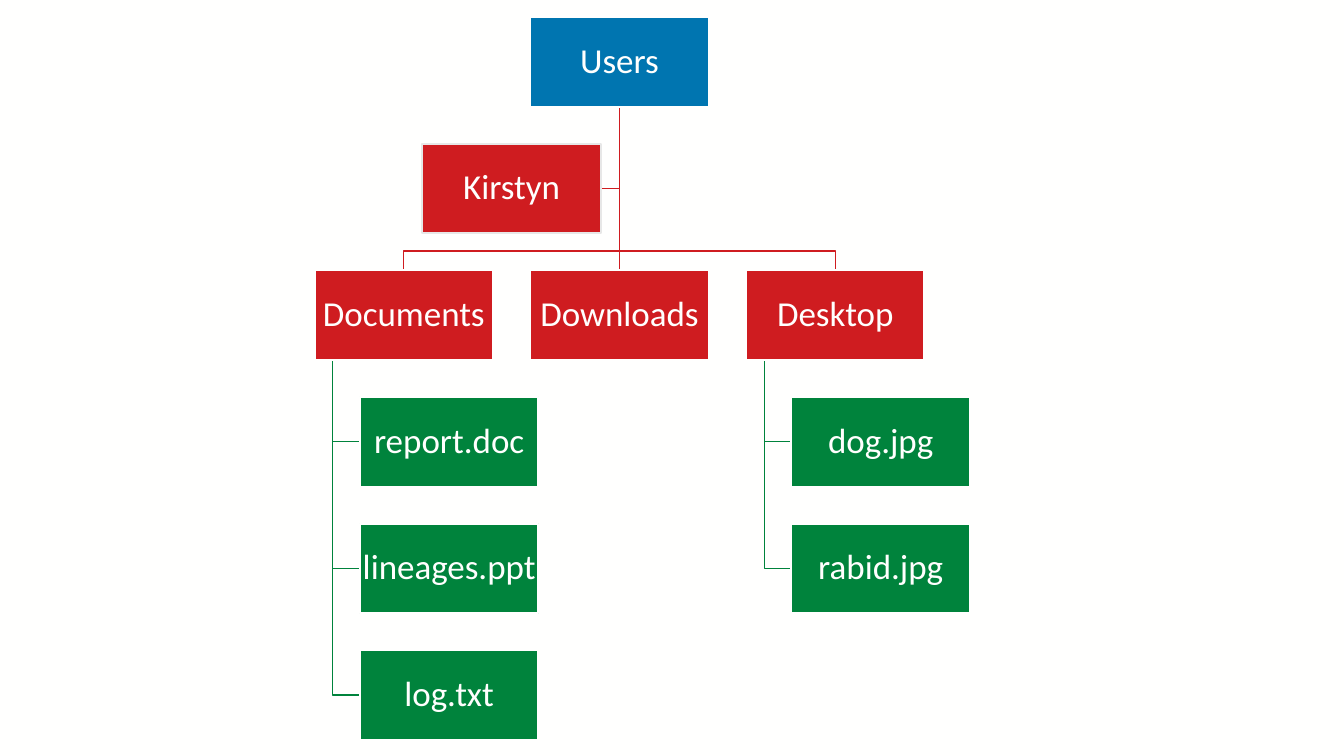
from pptx import Presentation
from pptx.dml.color import RGBColor
from pptx.enum.shapes import MSO_CONNECTOR, MSO_SHAPE
from pptx.enum.text import MSO_ANCHOR, PP_ALIGN
from pptx.oxml.ns import qn
from pptx.util import Inches, Pt
from lxml import etree

RECTANGLE = MSO_SHAPE.RECTANGLE
STRAIGHT = MSO_CONNECTOR.STRAIGHT
MIDDLE = MSO_ANCHOR.MIDDLE
CENTER = PP_ALIGN.CENTER
TOP_SIDE, BOTTOM_SIDE = 0, 2

WHITE = RGBColor(0xFF, 0xFF, 0xFE)
GREY = RGBColor(0xE7, 0xE7, 0xE7)
BLUE = RGBColor(0x00, 0x75, 0xB0)
RED = RGBColor(0xCF, 0x1C, 0x20)
GREEN = RGBColor(0x00, 0x83, 0x3C)

# Grid of the tree
BOX_W, BOX_H = Inches(1.77), Inches(0.89)
ROOT_LEFT, ROOT_TOP = Inches(5.26), Inches(0.17)
COL_PITCH = Inches(2.14)
ROW_PITCH = Inches(6.28) // 5
FILE_INDENT = Inches(0.45)
TRUNK_INDENT = Inches(0.18)
BAR_GAP = Inches(0.19)

FOLDERS = {
    "Documents": ["report.doc", "lineages.ppt", "log.txt"],
    "Downloads": [],
    "Desktop": ["dog.jpg", "rabid.jpg"],
}


def row_top(row):
    return ROOT_TOP + row * ROW_PITCH


def write_text(sp, text, size=25, color=WHITE, font="Calibri"):
    tf = sp.text_frame
    tf.word_wrap = False
    tf.vertical_anchor = MIDDLE
    tf.margin_left = tf.margin_right = Inches(0.02)
    tf.margin_top = tf.margin_bottom = Inches(0.02)
    p = tf.paragraphs[0]
    p.alignment = CENTER
    p.line_spacing = 0.9
    r = p.add_run()
    r.text = text
    r.font.size = Pt(size)
    r.font.name = font
    r.font.color.rgb = color


def add_box(s, text, left, row, fill, outline=WHITE):
    sp = s.shapes.add_shape(RECTANGLE, left, row_top(row), BOX_W, BOX_H)
    sp.shadow.inherit = False
    sp.fill.solid()
    sp.fill.fore_color.rgb = fill
    sp.line.color.rgb = outline
    sp.line.width = Pt(1.5)
    write_text(sp, text)
    return sp


def style_line(s, sp, color):
    sp.line.color.rgb = color
    sp.line.width = Pt(1)
    # Lines lie behind the boxes
    s.shapes._spTree.insert(2, sp._element)


def add_branch(s, points, color):
    builder = s.shapes.build_freeform(*points[0])
    builder.add_line_segments(points[1:], close=False)
    sp = builder.convert_to_shape()
    sp.shadow.inherit = False
    sp.fill.background()
    style_line(s, sp, color)


def add_straight(s, upper, lower, color):
    line = s.shapes.add_connector(STRAIGHT, 0, 0, 0, 0)
    line.begin_connect(upper, BOTTOM_SIDE)
    line.end_connect(lower, TOP_SIDE)
    etree.SubElement(line._element.spPr, qn("a:effectLst"))
    style_line(s, line, color)


def add_files(s, names, folder):
    left = folder.left + FILE_INDENT
    trunk_x = folder.left + TRUNK_INDENT
    for row, name in enumerate(names, start=3):
        add_box(s, name, left, row, GREEN)
        y = row_top(row) + BOX_H // 2
        add_branch(s, [(trunk_x, folder.top + BOX_H), (trunk_x, y), (left, y)], GREEN)


def main():
    prs = Presentation()
    prs.slide_width, prs.slide_height = Inches(13.33), Inches(7.5)
    s = prs.slides.add_slide(prs.slide_layouts[6])
    s.background.fill.solid()
    s.background.fill.fore_color.rgb = WHITE

    # Root
    root = add_box(s, "Users", ROOT_LEFT, 0, BLUE)
    root_x, root_bottom = ROOT_LEFT + BOX_W // 2, ROOT_TOP + BOX_H

    # User, hanging to the left of the trunk
    user = add_box(s, "Kirstyn", ROOT_LEFT - COL_PITCH // 2, 1, RED, outline=GREY)
    user_y = user.top + BOX_H // 2
    add_branch(s, [(root_x, root_bottom), (root_x, user_y),
                   (user.left + BOX_W, user_y)], RED)

    # Folders and their files
    for col, (name, files) in enumerate(FOLDERS.items(), start=-1):
        folder = add_box(s, name, ROOT_LEFT + col * COL_PITCH, 2, RED)
        if col == 0:
            add_straight(s, root, folder, RED)
        else:
            x, bar_y = folder.left + BOX_W // 2, folder.top - BAR_GAP
            add_branch(s, [(root_x, root_bottom), (root_x, bar_y),
                           (x, bar_y), (x, folder.top)], RED)
        add_files(s, files, folder)

    prs.save("out.pptx")


if __name__ == "__main__":
    main()
